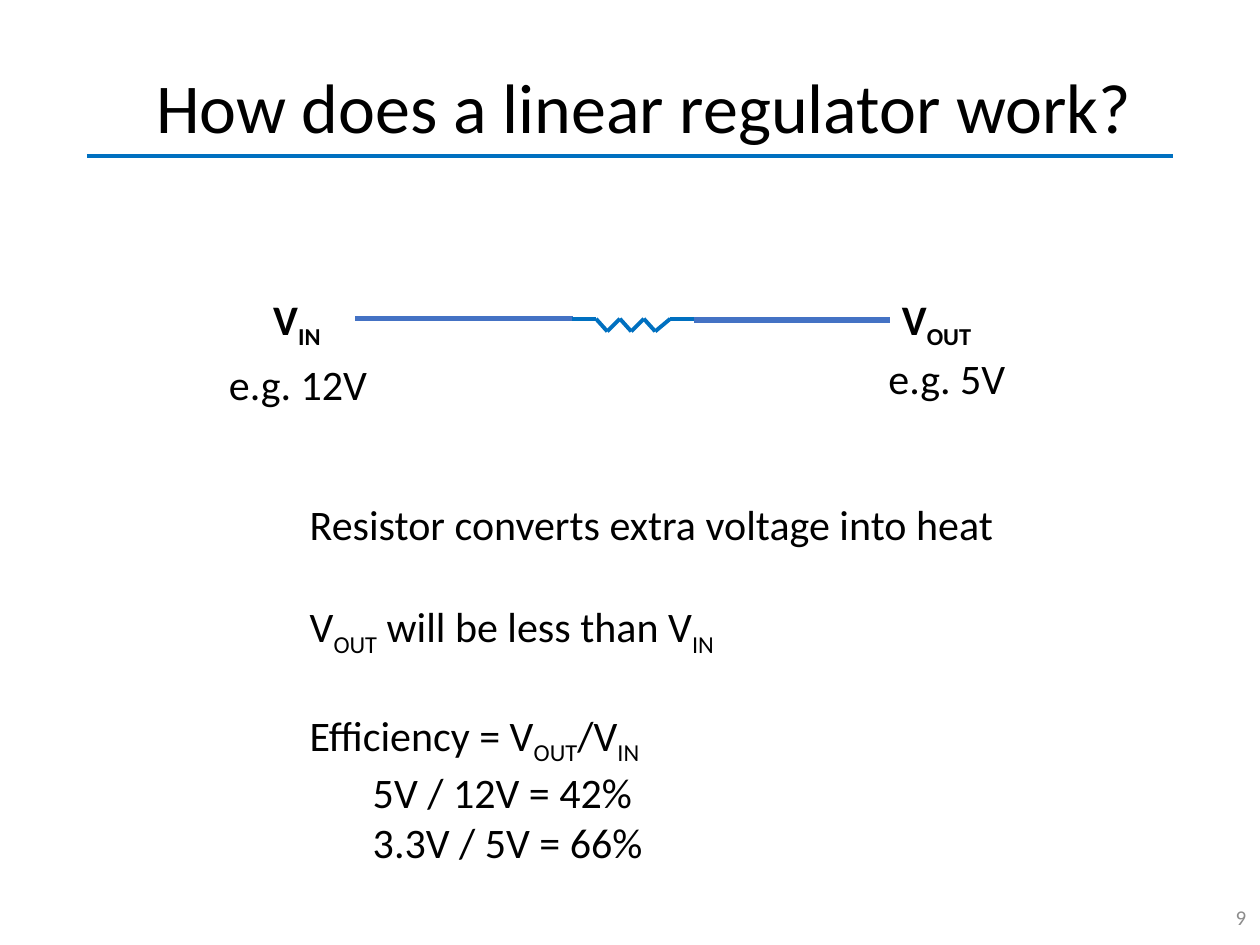
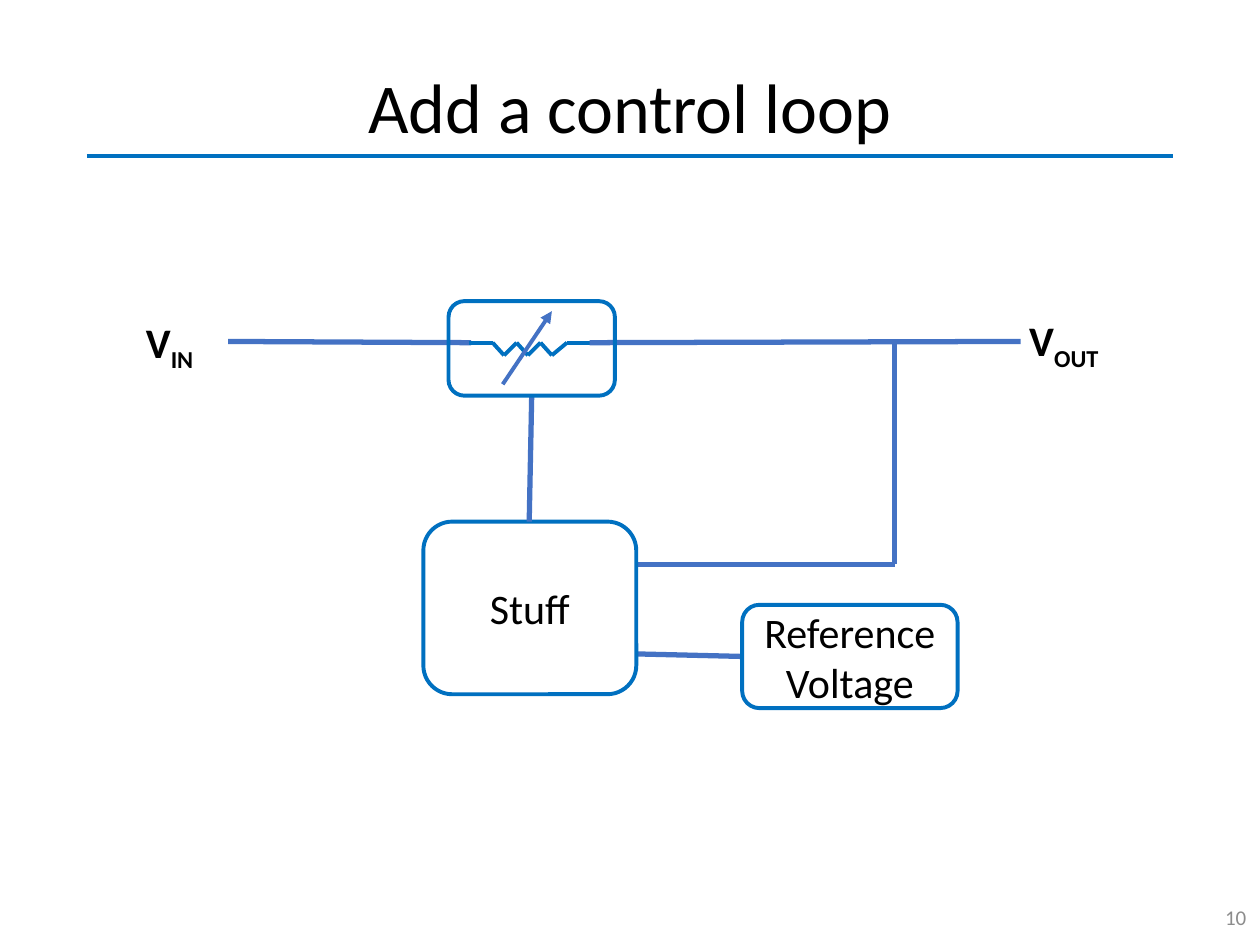
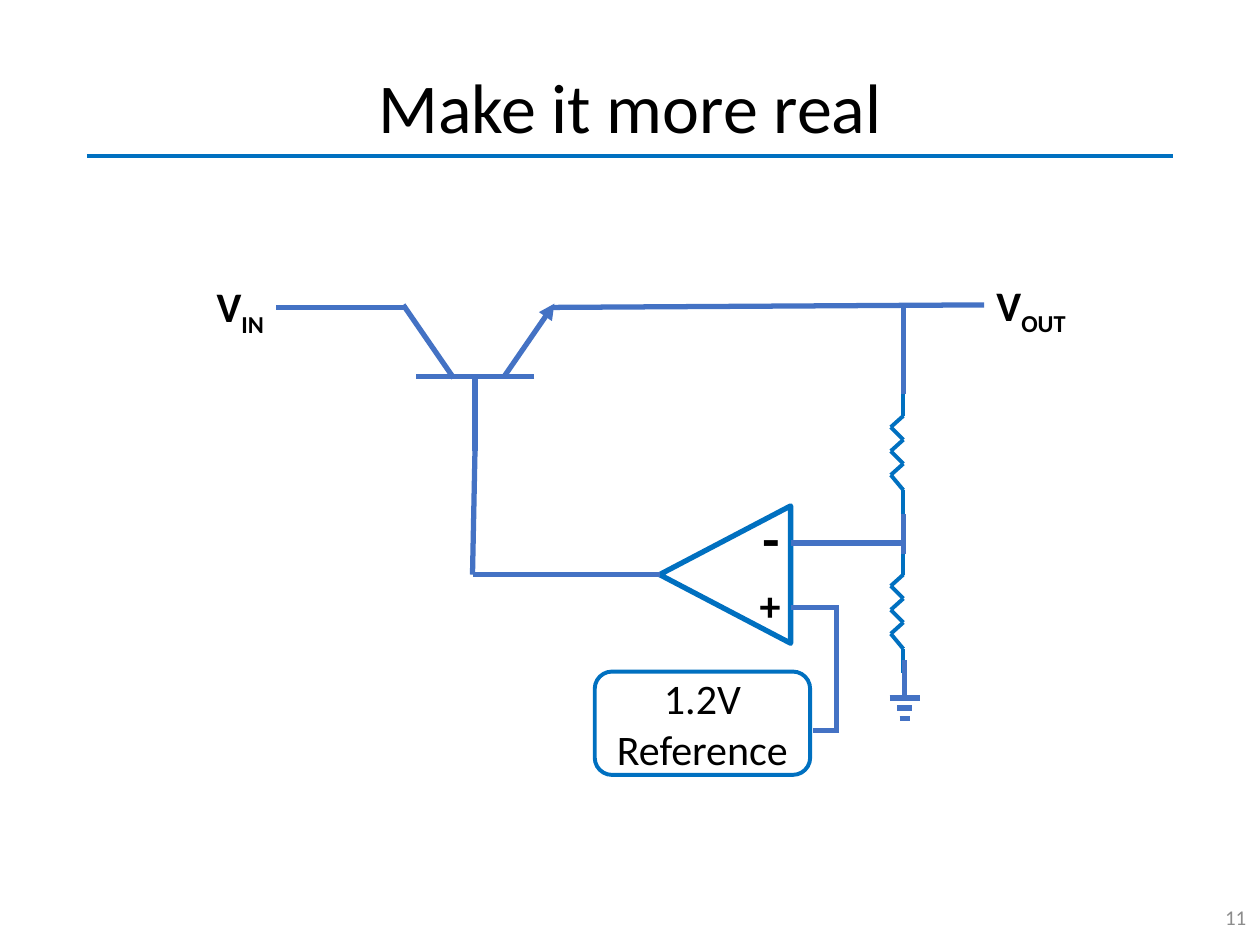
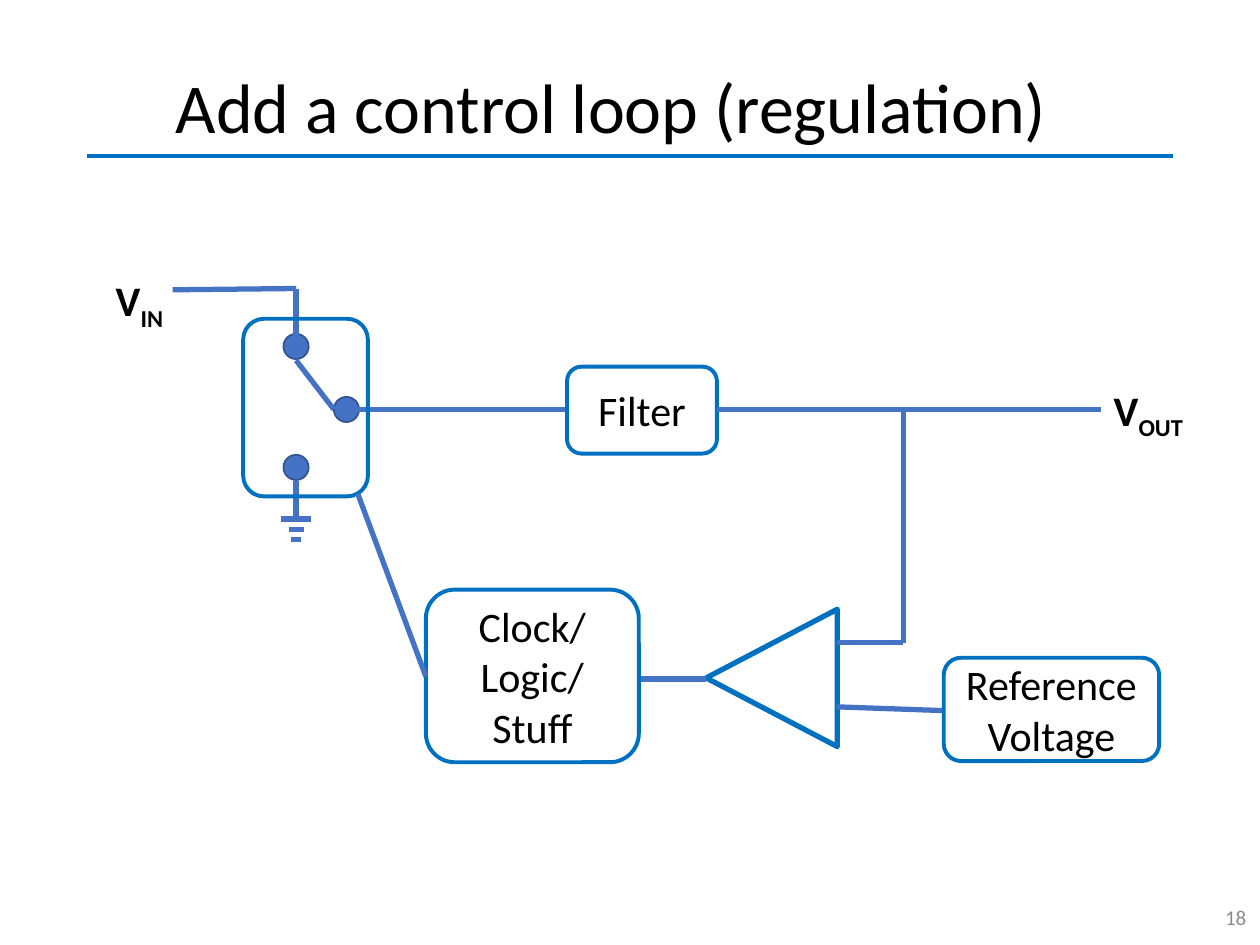
from itertools import pairwise

from lxml.etree import SubElement
from pptx import Presentation
from pptx.dml.color import RGBColor
from pptx.enum.shapes import MSO_CONNECTOR, MSO_SHAPE
from pptx.enum.text import MSO_ANCHOR, PP_ALIGN
from pptx.oxml.ns import qn
from pptx.util import Pt

SCALE = 9144
FONT = "Calibri"
BLACK = "000000"
GRAY = "8C8C8C"
BLUE = "0070C0"
WIRE = "4472C4"
RIM = "325491"
BLANK = 6
LINE = 29.3
ZIGZAG = [(0, 0), (19, 0), (28, 10), (38, 0), (47, 10),
          (57, 0), (66, 10), (78, 0), (97, 0)]
BARS = [(0, 12), (8, 6), (16, 4)]


def px(*sizes):
    return [round(size * SCALE) for size in sizes]


def tint(code):
    return RGBColor.from_string(code)


def write(par, text, size, bold=False, color=BLACK):
    # Parts between bars are set as subscripts.
    for place, part in enumerate(text.split("|")):
        if not part:
            continue
        run = par.add_run()
        run.text = part
        font = run.font
        font.name, font.size, font.bold = FONT, Pt(size), bold
        font.color.rgb = tint(color)
        if place % 2:
            run._r.get_or_add_rPr().set("baseline", "-25000")


def fill_text(frame, lines, size, align=PP_ALIGN.LEFT, **style):
    frame.word_wrap = True
    for place, text in enumerate(lines):
        par = frame.add_paragraph() if place else frame.paragraphs[0]
        par.alignment = align
        write(par, text, size, **style)


def label(slide, area, text, size=24, anchor=MSO_ANCHOR.TOP, **style):
    frame = slide.shapes.add_textbox(*px(*area)).text_frame
    frame.vertical_anchor = anchor
    fill_text(frame, [text], size, **style)
    return frame


def wire(slide, start, end, color=WIRE, width=3, arrow=False):
    line = slide.shapes.add_connector(MSO_CONNECTOR.STRAIGHT,
                                      *px(*start, *end))
    line.line.color.rgb = tint(color)
    line.line.width = Pt(width)
    if arrow:
        SubElement(line.line._get_or_add_ln(), qn("a:tailEnd"),
                   type="triangle")
    SubElement(line._element.spPr, qn("a:effectLst"))


def path(slide, *points, **style):
    for start, end in pairwise(points):
        wire(slide, start, end, **style)


def shape(slide, kind, area, color=BLUE, width=2.25, fill=None):
    item = slide.shapes.add_shape(kind, *px(*area))
    item.shadow.inherit = False
    if fill:
        item.fill.solid()
        item.fill.fore_color.rgb = tint(fill)
    else:
        item.fill.background()
    item.line.color.rgb = tint(color)
    item.line.width = Pt(width)
    return item


def block(slide, area, *lines):
    item = shape(slide, MSO_SHAPE.ROUNDED_RECTANGLE, area)
    if lines:
        item.text_frame.vertical_anchor = MSO_ANCHOR.MIDDLE
        fill_text(item.text_frame, lines, 24, PP_ALIGN.CENTER)


def amp(slide, left, top):
    item = shape(slide, MSO_SHAPE.ISOSCELES_TRIANGLE,
                 (left, top, 109, 104), width=3)
    item.rotation = 270


def coil(slide, left, top, upright=False):
    points = [(left - y, top + x) if upright else (left + x, top + y)
              for x, y in ZIGZAG]
    path(slide, *points, color=BLUE, width=2.25)


def ground(slide, x, top):
    base = top + 30
    wire(slide, (x, top), (x, base))
    for drop, half in BARS:
        wire(slide, (x - half, base + drop), (x + half, base + drop))


def ports(slide, source, sink):
    label(slide, (*source, 75, 50), "V|IN", bold=True)
    label(slide, (*sink, 91, 50), "V|OUT", bold=True)


def sign(slide, left, top, text, size):
    frame = label(slide, (left, top, 16, 50), text, size, bold=True)
    frame.margin_left, frame.margin_right = px(6, 0)


def start(deck, title, number, left=87):
    slide = deck.slides.add_slide(deck.slide_layouts[BLANK])
    wire(slide, (69, 124), (931, 124), BLUE, 2.25)
    frame = label(slide, (left, 34, 826, 108), title, 40,
                  MSO_ANCHOR.MIDDLE, align=PP_ALIGN.CENTER)
    frame.paragraphs[0].line_spacing = 0.9
    label(slide, (774, 708, 225, 40), str(number), 12, MSO_ANCHOR.MIDDLE,
          align=PP_ALIGN.RIGHT, color=GRAY)
    return slide


def linear(deck):
    slide = start(deck, "How does a linear regulator work?", 9, 98)
    ports(slide, (207, 228), (706, 228))
    wire(slide, (455, 253), (282, 253))
    coil(slide, 454, 253)
    wire(slide, (706, 254), (551, 254))
    for left, top, text in [(151, 280, "e.g. 12V"), (666, 275, "e.g. 5V")]:
        label(slide, (left, top, 171, 50), text, align=PP_ALIGN.CENTER)
    notes = slide.shapes.add_textbox(*px(236, 391, 579, 279)).text_frame
    fill_text(notes, ["Resistor converts extra voltage into heat",
                      "V|OUT| will be less than V|IN",
                      "Efficiency = V|OUT|/V|IN",
                      "5V / 12V = 42%",
                      "3.3V / 5V = 66%"], 24)
    for par in notes.paragraphs[1:3]:
        par.space_before = Pt(LINE)
    for par in notes.paragraphs[3:]:
        par._p.get_or_add_pPr().set("marL", str(px(50)[0]))


def control(deck):
    slide = start(deck, "Add a control loop", 10)
    ports(slide, (106, 246), (807, 245))
    wire(slide, (374, 272), (181, 271))
    coil(slide, 372, 272)
    wire(slide, (810, 271), (468, 272))
    path(slide, (710, 272), (710, 448), (504, 448))
    wire(slide, (589, 521), (505, 519))
    block(slide, (589, 480, 171, 82), "Reference", "Voltage")
    block(slide, (336, 414, 169, 137), "Stuff")
    wire(slide, (422, 315), (420, 414))
    wire(slide, (399, 305), (438, 247), width=2.25, arrow=True)
    block(slide, (356, 239, 132, 75))


def real(deck):
    slide = start(deck, "Make it more real", 11)
    ports(slide, (162, 218), (781, 217))
    wire(slide, (323, 244), (219, 244))
    wire(slide, (781, 242), (439, 244))
    amp(slide, 521, 404)
    wire(slide, (717, 431), (628, 431))
    block(slide, (472, 533, 171, 82), "1.2V", "Reference")
    path(slide, (524, 456), (375, 456), (377, 358), (377, 299))
    wire(slide, (400, 299), (440, 241), arrow=True)
    wire(slide, (424, 299), (330, 299))
    wire(slide, (360, 300), (320, 242))
    wire(slide, (666, 482), (628, 482))
    wire(slide, (664, 578), (664, 482))
    wire(slide, (666, 580), (645, 580))
    for top in (311, 437):
        coil(slide, 717, top, upright=True)
    wire(slide, (717, 440), (717, 408))
    wire(slide, (717, 313), (717, 242))
    ground(slide, 718, 524)
    sign(slide, 599, 395, "-", 32)
    sign(slide, 597, 455, "+", 24)


def switch(deck):
    slide = start(deck, "Add a control loop (regulation)", 18, 72)
    for left, top in [(225, 265), (265, 315), (225, 361)]:
        shape(slide, MSO_SHAPE.OVAL, (left, top, 20, 20), RIM, 1, WIRE)
    ground(slide, 235, 382)
    path(slide, (235, 268), (235, 229), (137, 230))
    ports(slide, (82, 213), (874, 300))
    wire(slide, (265, 325), (235, 286))
    wire(slide, (450, 325), (284, 325))
    block(slide, (450, 291, 119, 69), "Filter")
    wire(slide, (874, 325), (569, 325))
    amp(slide, 558, 486)
    path(slide, (717, 325), (717, 510), (664, 510))
    wire(slide, (749, 564), (664, 561))
    block(slide, (749, 522, 171, 82), "Reference", "Voltage")
    wire(slide, (560, 539), (507, 539))
    block(slide, (338, 468, 169, 137), "Clock/", "Logic/", "Stuff")
    block(slide, (193, 253, 99, 141))
    wire(slide, (284, 392), (338, 537))


def main():
    deck = Presentation()
    deck.slide_width, deck.slide_height = px(1000, 750)
    for build in (linear, control, real, switch):
        build(deck)
    deck.save("out.pptx")


if __name__ == "__main__":
    main()
